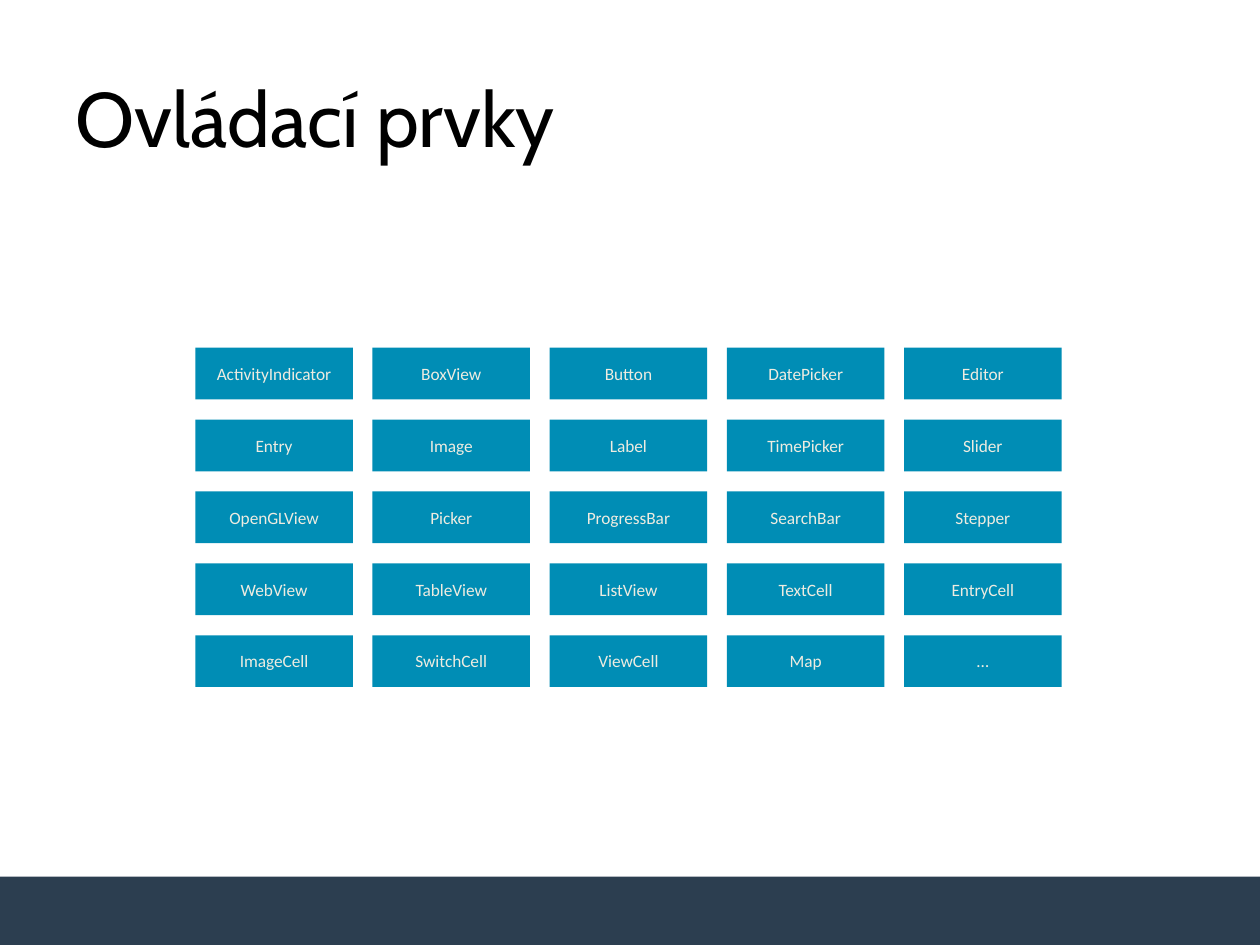
from pptx import Presentation
from pptx.dml.color import RGBColor
from pptx.enum.shapes import MSO_SHAPE
from pptx.enum.text import MSO_ANCHOR, PP_ALIGN
from pptx.util import Pt

RECT, ROUND_RECT = MSO_SHAPE.RECTANGLE, MSO_SHAPE.ROUNDED_RECTANGLE
MIDDLE = MSO_ANCHOR.MIDDLE
LEFT, CENTER = PP_ALIGN.LEFT, PP_ALIGN.CENTER
TITLE_ONLY = 5

COLORS = {"bar": "2C3E50", "tile": "008DB5", "tile_text": "EEECE1", "title": "000000"}
TITLE_FONT = {"name": "Cabin", "size": Pt(44), "bold": False}
TILE_FONT = {"name": "Calibri", "size": Pt(9.9), "bold": False}

CONTROLS = [
    ["ActivityIndicator", "BoxView", "Button", "DatePicker", "Editor"],
    ["Entry", "Image", "Label", "TimePicker", "Slider"],
    ["OpenGLView", "Picker", "ProgressBar", "SearchBar", "Stepper"],
    ["WebView", "TableView", "ListView", "TextCell", "EntryCell"],
    ["ImageCell", "SwitchCell", "ViewCell", "Map", "…"],
]


def rgb(key):
    return RGBColor.from_string(COLORS[key])


def set_text(sp, text, font, color, align):
    tf = sp.text_frame
    tf.word_wrap = True
    tf.vertical_anchor = MIDDLE
    p = tf.paragraphs[0]
    p.alignment = align
    r = p.add_run()
    r.text = text
    for name, value in font.items():
        setattr(r.font, name, value)
    r.font.color.rgb = rgb(color)


def add_box(s, kind, box, fill):
    sp = s.shapes.add_shape(kind, *map(Pt, box))
    sp.shadow.inherit = False
    sp.fill.solid()
    sp.fill.fore_color.rgb = rgb(fill)
    sp.line.fill.background()
    return sp


def place_title(s, box, text):
    sp = s.shapes.title
    sp.left, sp.top, sp.width, sp.height = map(Pt, box)
    set_text(sp, text, TITLE_FONT, "title", LEFT)


def add_control_grid(s, box, rows, tile_w=90, tile_h=29.5):
    """Spread equal tiles over the box, with the outer ones on its edges."""
    left, top, width, height = box
    step_x = (width - tile_w) / (len(rows[0]) - 1)
    step_y = (height - tile_h) / (len(rows) - 1)
    for i, row in enumerate(rows):
        for j, label in enumerate(row):
            tile = (left + j * step_x, top + i * step_y, tile_w, tile_h)
            sp = add_box(s, ROUND_RECT, tile, "tile")
            sp.adjustments[0] = 0
            tf = sp.text_frame
            tf.margin_left = tf.margin_right = Pt(2)
            set_text(sp, label, TILE_FONT, "tile_text", CENTER)


def main():
    prs = Presentation()
    prs.slide_width, prs.slide_height = Pt(720), Pt(540)
    s = prs.slides.add_slide(prs.slide_layouts[TITLE_ONLY])
    add_box(s, RECT, (0, 501, 720, 39), "bar")
    place_title(s, (36, 21.6, 648, 90), "Ovládací prvky")
    add_control_grid(s, (111.6, 198.7, 495, 193.8), CONTROLS)
    prs.save("out.pptx")


if __name__ == "__main__":
    main()
